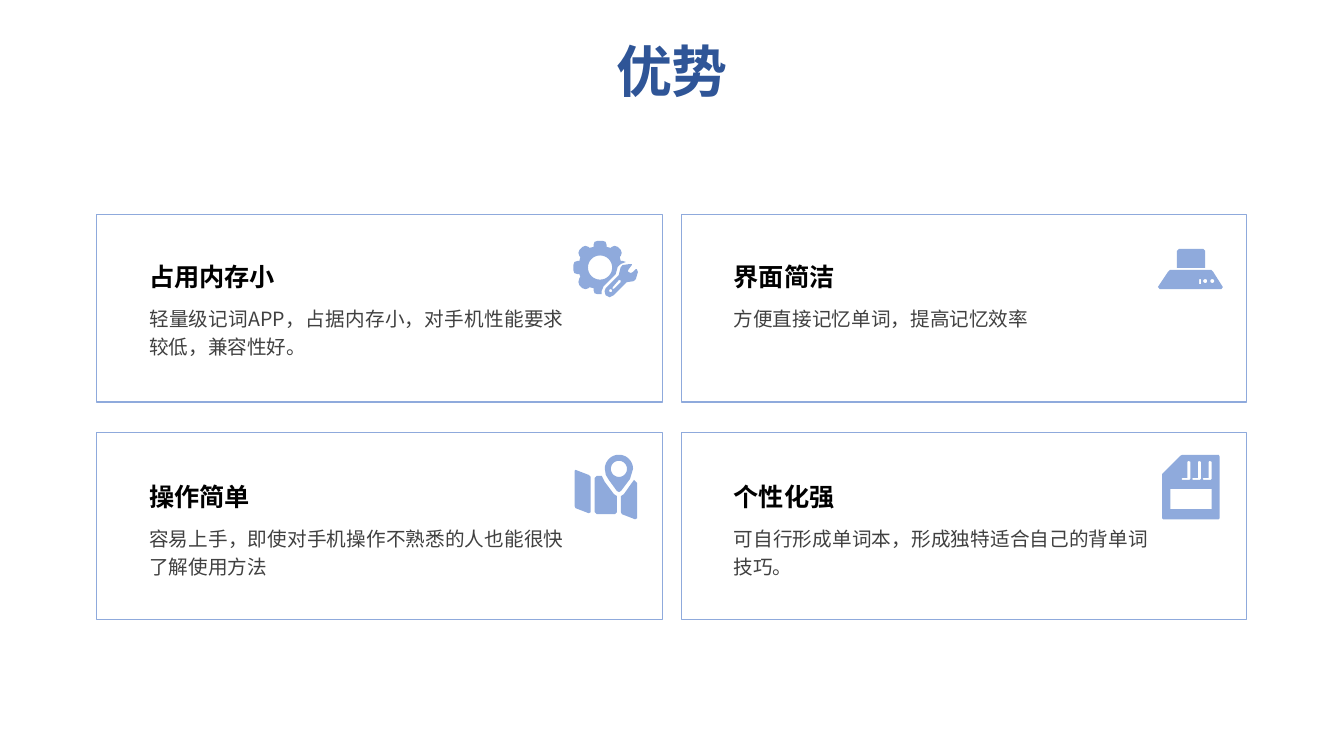
import math

import pptx
import pptx.dml.color
import pptx.enum.shapes
import pptx.enum.text
import pptx.util
from lxml import etree

Cm = pptx.util.Cm
ALIGN = pptx.enum.text.PP_ALIGN
FONT = "Noto Sans CJK SC"
ICON_UNIT = 0.0254  # cm per unit of the icon outlines
PRECISION = 100  # freeform points are whole numbers


def colour(hex_code):
    return pptx.dml.color.RGBColor.from_string(hex_code)


def write_text(frame, text, size=14, fill="404040", bold=False,
               align=ALIGN.JUSTIFY, spacing=None):
    paragraph = frame.paragraphs[0]
    paragraph.alignment = align
    if spacing:
        paragraph.line_spacing = spacing
    run = paragraph.add_run()
    run.text = text
    run.font.size = pptx.util.Pt(size)
    run.font.bold = bold
    run.font.name = FONT
    run.font.color.rgb = colour(fill)
    east_asian = etree.Element(pptx.oxml.ns.qn("a:ea"), typeface=FONT)
    run.font._element.find(pptx.oxml.ns.qn("a:latin")).addnext(east_asian)


# Outline helpers
def arc(cx, cy, radius, start=0, end=360, steps=32):
    angles = [math.radians(start + (end - start) * i / steps)
              for i in range(steps + 1)]
    return [(cx + radius * math.cos(a), cy + radius * math.sin(a))
            for a in angles]


def box(x, y, width, height):
    return [(x, y), (x + width, y), (x + width, y + height), (x, y + height)]


class AdvantageSlide:
    accent = "8FAADC"
    title_fill = "2F5597"

    def __init__(self, deck):
        self.slide = deck.slides.add_slide(deck.slide_layouts[5])

    def title(self, text, left, top, width, height):
        heading = self.slide.shapes.title
        heading.left, heading.top = Cm(left), Cm(top)
        heading.width, heading.height = Cm(width), Cm(height)
        frame = heading.text_frame
        frame.auto_size = pptx.enum.text.MSO_AUTO_SIZE.NONE
        frame.vertical_anchor = pptx.enum.text.MSO_ANCHOR.MIDDLE
        write_text(frame, text, size=40, fill=self.title_fill, bold=True,
                   align=ALIGN.CENTER)

    def card(self, left, top, width, height):
        frame = self.slide.shapes.add_shape(
            pptx.enum.shapes.MSO_SHAPE.RECTANGLE,
            Cm(left), Cm(top), Cm(width), Cm(height))
        frame.shadow.inherit = False
        frame.fill.background()
        frame.line.color.rgb = colour(self.accent)
        frame.line.width = pptx.util.Pt(1)

    def text(self, text, left, top, width, height, **style):
        frame = self.slide.shapes.add_textbox(
            Cm(left), Cm(top), Cm(width), Cm(height)).text_frame
        frame.word_wrap = True
        write_text(frame, text, spacing=1.2, **style)

    def icon(self, contours, left, top):
        scaled = [[(x * PRECISION, y * PRECISION) for x, y in contour]
                  for contour in contours]
        builder = self.slide.shapes.build_freeform(
            *scaled[0][0], scale=Cm(ICON_UNIT) / PRECISION)
        for i, contour in enumerate(scaled):
            if i:
                builder.move_to(*contour[0])
            builder.add_line_segments(contour[1:], close=True)
        drawing = builder.convert_to_shape(Cm(left), Cm(top))
        drawing.shadow.inherit = False
        drawing.fill.solid()
        drawing.fill.fore_color.rgb = colour(self.accent)
        drawing.line.fill.background()


# Icon outlines
GEAR_AND_WRENCH = [
    [(24, 0), (29, 0), (32, 1), (33, 4), (33, 6), (37, 7), (38, 6), (41, 5),
     (44, 6), (47, 9), (48, 12), (47, 15), (46, 16), (47, 20), (49, 20),
     (52, 21), (47, 23), (44, 26), (42, 33), (30, 45), (28, 50), (28, 53),
     (24, 53), (21, 52), (20, 49), (20, 47), (16, 46), (15, 47), (12, 48),
     (9, 47), (6, 44), (5, 41), (6, 37), (7, 36), (6, 33), (4, 33), (1, 32),
     (0, 29), (0, 24), (1, 21), (4, 20), (6, 20), (7, 16), (6, 15), (5, 12),
     (6, 9), (9, 6), (12, 5), (15, 6), (16, 7), (20, 6), (20, 4), (21, 1)],
    arc(26.5, 26.5, 12),
    [(56, 23), (58, 23), (58, 24), (55, 28), (54, 30), (55, 31), (57, 32),
     (59, 31), (62, 28), (63, 28), (64, 31), (62, 38), (60, 40), (53, 41),
     (40, 54), (36, 56), (32, 54), (31, 50), (32, 47), (45, 34), (47, 26),
     (49, 24)],
    arc(37, 49.5, 1.5),
    [(45, 39), (39, 46), (39, 48), (41, 47), (47, 41), (47, 39)],
]
HOOD = [
    [(12, 21), (53, 21), (55, 23), (64.5, 38), (63, 40), (2, 40), (0, 38),
     (10, 23)],
    [(21, 0), (45, 0), (47, 2), (47, 19), (19, 19), (19, 2)],
    arc(54, 32, 2), arc(47, 32, 2), box(41, 30, 2, 5),
]
MAP_PIN = [
    [(59, 25), (60, 26), (62, 28), (62, 63), (60, 64), (47, 59), (46, 57),
     (46, 41), (49, 39), (56, 29)],
    [(22, 21), (27, 21), (30, 27), (39, 39), (42, 41), (42, 57), (40, 59),
     (22, 59), (20, 57), (20, 23)],
    [(1, 15), (14, 20), (16, 22), (16, 57), (14, 58), (1, 53), (0, 51),
     (0, 16)],
    arc(44, 14, 14, 180, 360) + [(55, 24), (46, 36), (44, 37), (42, 36),
                                 (34, 25), (31, 20)],
    arc(44, 14, 8),
]
CONTACT = [(20, 23), (25, 23), (25, 7), (26, 6), (28, 7), (28, 24), (27, 25),
           (20, 25), (19, 24)]
MEMORY_CARD = [
    [(20, 0), (56, 0), (57, 2), (57, 63), (56, 64), (1, 64), (0, 63),
     (0, 19), (18, 1)],
    box(8, 34, 41, 20),
] + [[(x + shift, y) for x, y in CONTACT] for shift in (0, 10.5, 21)]

# Heading, description, description height, icon, icon left and top
ADVANTAGES = [
    ("占用内存小", "轻量级记词APP，占据内存小，对手机性能要求较低，兼容性好。",
     1.68, GEAR_AND_WRENCH, 14.45, 6.07),
    ("界面简洁", "方便直接记忆单词，提高记忆效率", 0.97, HOOD, 29.18, 6.27),
    ("操作简单", "容易上手，即使对手机操作不熟悉的人也能很快了解使用方法",
     2.18, MAP_PIN, 14.48, 11.46),
    ("个性化强", "可自行形成单词本，形成独特适合自己的背单词技巧。",
     1.63, MEMORY_CARD, 29.29, 11.46),
]


def main():
    deck = pptx.Presentation()
    deck.slide_width, deck.slide_height = Cm(33.87), Cm(19.05)
    page = AdvantageSlide(deck)
    page.title("优势", 0, 0.79, 33.87, 1.96)

    # Two-by-two grid of cards
    for i, (heading, description, height, icon, x, y) in enumerate(ADVANTAGES):
        row, column = divmod(i, 2)
        card_left = 2.44 + column * 14.73
        text_left = card_left + 1.07
        text_top = 6.32 + row * 5.54
        page.card(card_left, 5.41 + row * 5.49, 14.25, 4.72)
        page.icon(icon, x, y)
        page.text(description, text_left, text_top + 1.17, 10.95, height)
        page.text(heading, text_left, text_top, 5.69, 1.17,
                  size=18, fill="000000", bold=True)

    deck.save("out.pptx")


if __name__ == "__main__":
    main()
